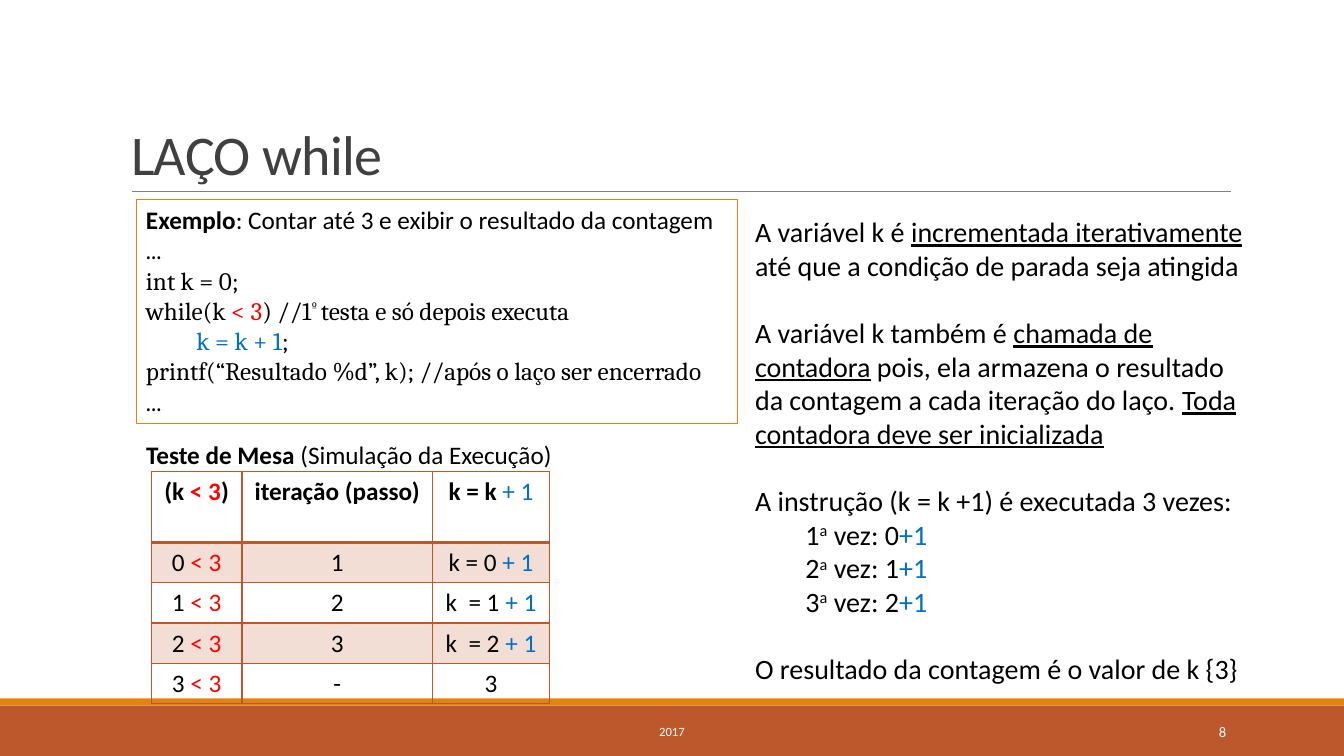
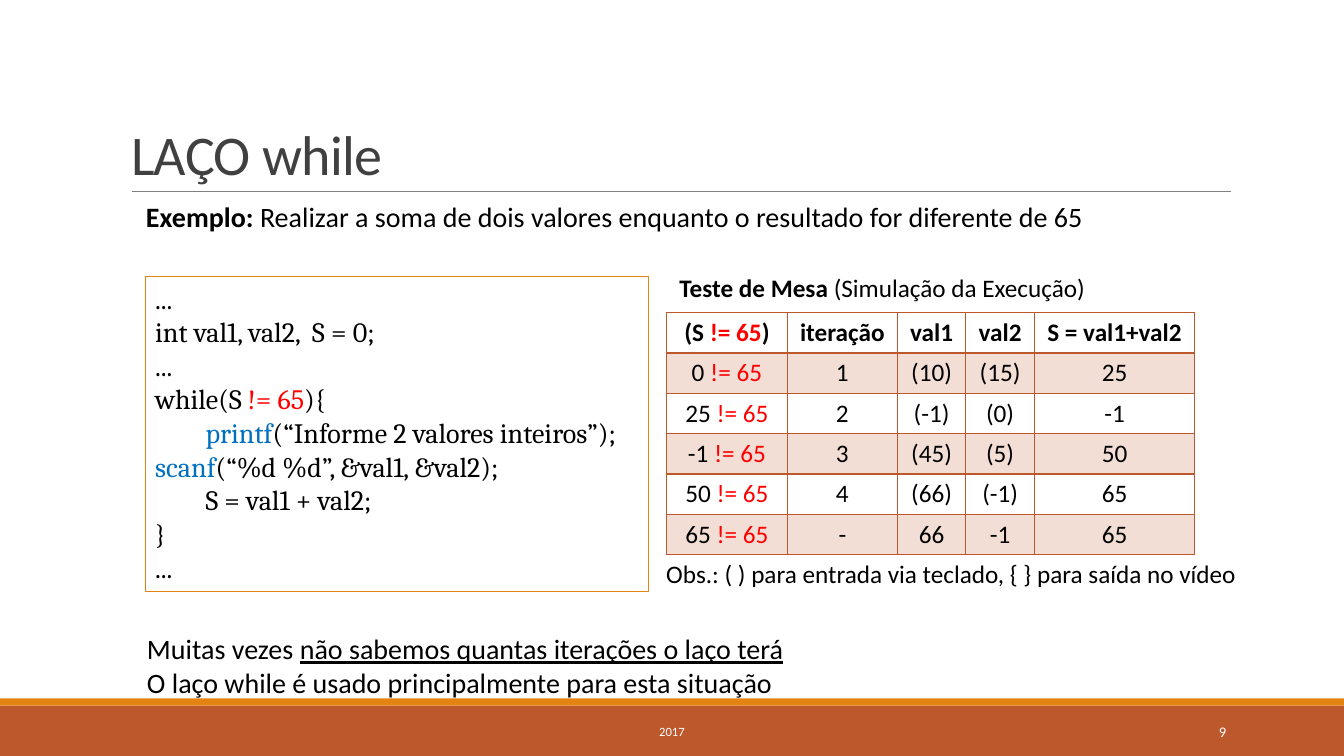
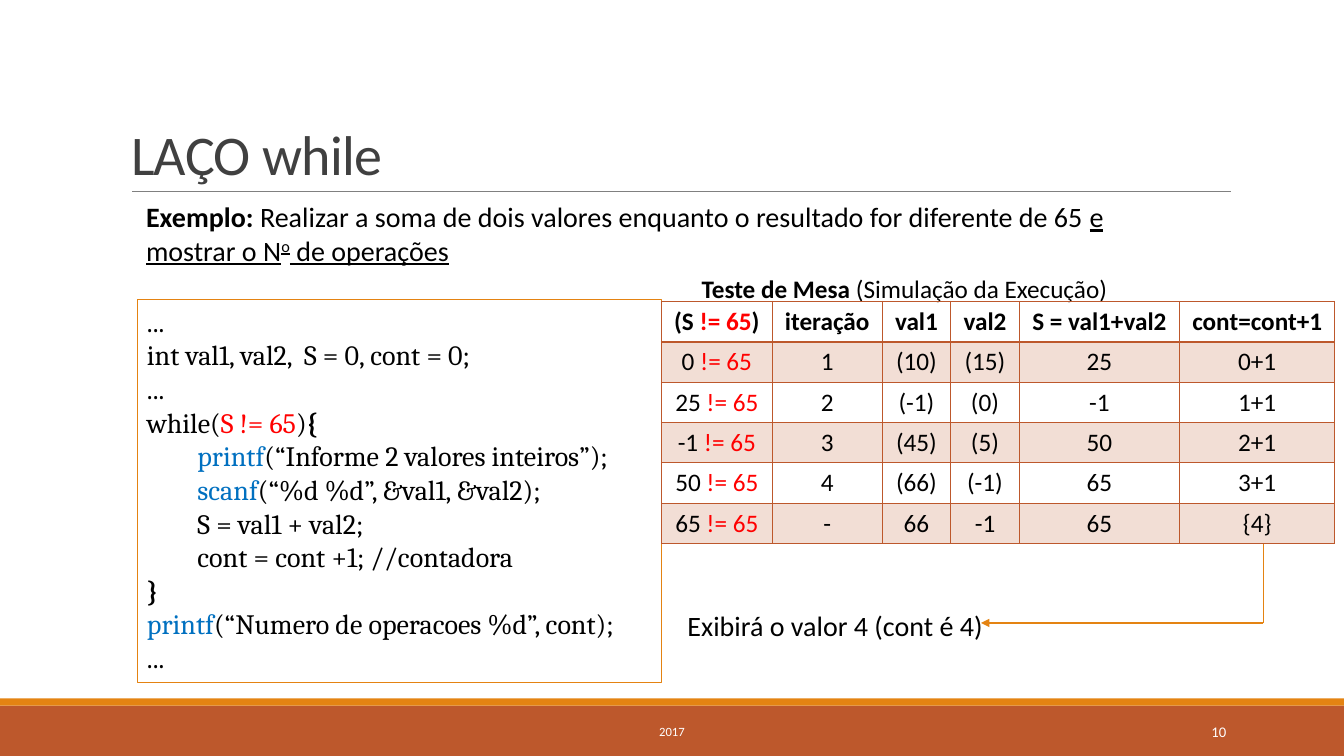
from lxml import etree
from pptx import Presentation
from pptx.dml.color import RGBColor
from pptx.enum.shapes import MSO_CONNECTOR, MSO_SHAPE
from pptx.enum.text import MSO_ANCHOR, MSO_AUTO_SIZE, PP_ALIGN
from pptx.oxml.ns import qn
from pptx.util import Pt

RECTANGLE = MSO_SHAPE.RECTANGLE
STRAIGHT = MSO_CONNECTOR.STRAIGHT
TOP, MIDDLE, BOTTOM = MSO_ANCHOR.TOP, MSO_ANCHOR.MIDDLE, MSO_ANCHOR.BOTTOM
LEFT, CENTER, RIGHT = PP_ALIGN.LEFT, PP_ALIGN.CENTER, PP_ALIGN.RIGHT
NO_AUTOFIT = MSO_AUTO_SIZE.NONE

EMU_PER_PX = 9144  # 100 px to the inch
PAGE_WIDTH, PAGE_HEIGHT = 1333, 750
TITLE_ONLY = 5
PLAIN_TABLE_STYLE = "{2D5ABB26-0587-4C30-8999-92F81FD0307C}"
SANS, SERIF = "Calibri", "Cambria"
ROW_HEIGHT = 40
INDENT = 50

COLORS = {
    "text": "000000",
    "title": "404040",
    "white": "FFFFFF",
    "rule": "808080",
    "orange": "E48312",
    "rust": "BD582C",
    "tint": "F2DED5",
    "red": "FF0000",
    "blue": "0070C0",
}


def px(length):
    return length * EMU_PER_PX


def rgb(name):
    return RGBColor.from_string(COLORS[name])


# Text: a paragraph is a list of spans, a span is a string or a (text, format) pair
def span(text, **style):
    return text, style


def red(text):
    return span(text, color="red")


def blue(text, **style):
    return span(text, color="blue", **style)


def bold(text, **style):
    return span(text, bold=True, **style)


def underlined(text, **style):
    return span(text, underline=True, **style)


def raised(text, **style):
    return span(text, raised=True, **style)


def para(*spans, indent=0, before=0):
    return {"spans": spans, "indent": indent, "before": before}


def indented(*spans):
    return para(*spans, indent=INDENT)


def add_run(paragraph, text, size=18, font=SANS, color="text", bold=False,
            underline=False, raised=False, tracking=0):
    run = paragraph.add_run()
    run.text = text
    run.font.size = Pt(size)
    run.font.name = font
    run.font.bold = bold
    run.font.underline = underline
    run.font.color.rgb = rgb(color)
    properties = run.font._element
    if raised:
        properties.set("baseline", "30000")
    if tracking:
        properties.set("spc", str(tracking))


def fill_text(frame, paragraphs, align=LEFT, line_spacing=None, **style):
    for index, item in enumerate(paragraphs):
        if isinstance(item, str):
            item = para(item)
        paragraph = frame.paragraphs[0] if index == 0 else frame.add_paragraph()
        paragraph.alignment = align
        if line_spacing:
            paragraph.line_spacing = line_spacing
        if item["before"]:
            paragraph.space_before = Pt(item["before"])
        if item["indent"]:
            properties = paragraph._p.get_or_add_pPr()
            properties.set("marL", "0")
            properties.set("indent", str(px(item["indent"])))
        for part in item["spans"]:
            text, own_style = (part, {}) if isinstance(part, str) else part
            add_run(paragraph, text, **{**style, **own_style})


# Page elements
def add_bar(page, left, top, width, height, fill=None, outline=None):
    bar = page.shapes.add_shape(RECTANGLE, px(left), px(top), px(width), px(height))
    bar.shadow.inherit = False
    if fill:
        bar.fill.solid()
        bar.fill.fore_color.rgb = rgb(fill)
    else:
        bar.fill.background()
    if outline:
        bar.line.color.rgb = rgb(outline)
        bar.line.width = Pt(0.75)
    else:
        bar.line.fill.background()
    return bar


def add_text(page, left, top, width, height, paragraphs, outline=None,
             anchor=TOP, **style):
    if outline:
        box = add_bar(page, left, top, width, height, outline=outline)
    else:
        box = page.shapes.add_textbox(px(left), px(top), px(width), px(height))
    frame = box.text_frame
    frame.word_wrap = True
    frame.vertical_anchor = anchor
    fill_text(frame, paragraphs, **style)


def add_line(page, start, end, color, width, arrow=False):
    line = page.shapes.add_connector(STRAIGHT, *map(px, start + end))
    line.line.color.rgb = rgb(color)
    line.line.width = Pt(width)
    if arrow:
        etree.SubElement(line.line._get_or_add_ln(), qn("a:tailEnd"), type="triangle")
    etree.SubElement(line._element.spPr, qn("a:effectLst"))


def set_borders(cell, top=1, bottom=1):
    properties = cell._tc.get_or_add_tcPr()
    for side, width in (("L", 1), ("R", 1), ("T", top), ("B", bottom)):
        border = etree.SubElement(properties, qn(f"a:ln{side}"), w=str(Pt(width)))
        fill = etree.SubElement(border, qn("a:solidFill"))
        etree.SubElement(fill, qn("a:srgbClr"), val=COLORS["rust"])


def add_trace_table(page, left, top, widths, rows, header_height=ROW_HEIGHT):
    heights = [header_height] + [ROW_HEIGHT] * (len(rows) - 1)
    graphic = page.shapes.add_table(len(rows), len(widths), px(left), px(top),
                                    px(sum(widths)), px(sum(heights)))
    table = graphic.table
    table.horz_banding = False
    table._tbl.tblPr.find(qn("a:tableStyleId")).text = PLAIN_TABLE_STYLE
    for column, width in zip(table.columns, widths):
        column.width = px(width)
    for index, (row, height) in enumerate(zip(rows, heights)):
        table.rows[index].height = px(height)
        for cell, content in zip(table.rows[index].cells, row):
            set_borders(cell, top=2 if index == 1 else 1, bottom=2 if index == 0 else 1)
            if index % 2:
                cell.fill.solid()
                cell.fill.fore_color.rgb = rgb("tint")
            else:
                cell.fill.background()
            fill_text(cell.text_frame, [content], align=CENTER, bold=index == 0)


def add_page(deck, number):
    page = deck.slides.add_slide(deck.slide_layouts[TITLE_ONLY])
    # Bands and rule
    add_bar(page, 0, 700, PAGE_WIDTH, 50, fill="rust")
    add_bar(page, 0, 693, PAGE_WIDTH, 7, fill="orange")
    add_line(page, (131, 190), (1221, 190), "rule", 0.5)
    # Title
    title = page.shapes.title
    title.left, title.top, title.width, title.height = map(px, (120, 31, 1100, 159))
    frame = title.text_frame
    frame.word_wrap = True
    frame.auto_size = NO_AUTOFIT
    frame.vertical_anchor = BOTTOM
    fill_text(frame, ["LAÇO while"], line_spacing=0.85, size=40, color="title",
              tracking=-50)
    # Footer
    add_text(page, 403, 706, 527, 40, ["2017"], anchor=MIDDLE, align=CENTER,
             size=9, color="white")
    add_text(page, 1083, 706, 143, 40, [str(number)], anchor=MIDDLE, align=RIGHT,
             size=10.5, color="white")
    return page


def add_trace_heading(page, left, top):
    add_text(page, left, top, 439, 40,
             [para(bold("Teste de Mesa"), " (Simulação da Execução)")])


def add_code(page, left, top, width, height, lines, size=20):
    add_text(page, left, top, width, height, lines, outline="orange",
             font=SERIF, size=size)


# Content that two pages share
SUM_HEADER = [para("(S ", red("!= 65"), ")"), "iteração", "val1", "val2", "S = val1+val2"]
SUM_STEPS = [
    ("0", "1", "(10)", "(15)", "25"),
    ("25", "2", "(-1)", "(0)", "-1"),
    ("-1", "3", "(45)", "(5)", "50"),
    ("50", "4", "(66)", "(-1)", "65"),
    ("65", "-", "66", "-1", "65"),
]
SUM_ROWS = [SUM_HEADER] + [[para(f"{total} ", red("!= 65")), *rest]
                           for total, *rest in SUM_STEPS]
SUM_TASK = "Realizar a soma de dois valores enquanto o resultado for diferente de 65"
PROMPT_LINE = indented(blue("printf"), "(“Informe 2 valores inteiros”);")
READ_SPANS = (blue("scanf"), "(“%d %d”, &val1, &val2);")
ADD_LINE = indented("S = val1 + val2;")


def build_counting_page(deck):
    page = add_page(deck, 8)
    add_code(page, 135, 198, 597, 222, [
        para(bold("Exemplo", font=SANS),
             span(": Contar até 3 e exibir o resultado da contagem", font=SANS)),
        "...",
        "int k = 0;",
        para("while(k", red(" < 3"), ") //1", raised("º "), "testa e só depois executa"),
        indented(blue("k = k + 1"), ";"),
        "printf(“Resultado %d”, k); //após o laço ser encerrado",
        "...",
    ], size=18)

    # Explanation
    gap = 24
    times = [indented(f"{step}", raised("a"), f" vez: {step - 1}", blue("+1"))
             for step in (1, 2, 3)]
    add_text(page, 739, 208, 508, 481, [
        para("A variável k é ", underlined("incrementada iterativamente"),
             " até que a condição de parada seja atingida"),
        para("A variável k também é ", underlined("chamada de"), " ",
             underlined("contadora"),
             " pois, ela armazena o resultado da contagem a cada iteração do laço. ",
             underlined("Toda contadora deve ser inicializada"), before=gap),
        para("A instrução (k = k +1) é executada 3 vezes:", before=gap),
        *times,
        para("O resultado da contagem é o valor de k {3}", before=gap),
    ], size=20)

    # Trace
    add_trace_heading(page, 135, 431)
    steps = [("0", "1", "k = 0 "), ("1", "2", "k  = 1 "), ("2", "3", "k  = 2 ")]
    rows = [[para("(k ", red("< 3"), ")"), "iteração (passo)",
             para("k = k ", blue("+ 1", bold=False))]]
    rows += [[para(f"{value} ", red("< 3")), step, para(update, blue("+ 1"))]
             for value, step, update in steps]
    rows.append([para("3 ", red("< 3")), "-", "3"])
    add_trace_table(page, 150, 468, [90, 189, 116], rows, header_height=70)


def build_sum_page(deck):
    page = add_page(deck, 9)
    add_code(page, 144, 274, 499, 313, [
        "...",
        "int val1, val2,  S = 0;",
        "...",
        para("while(S", red(" != 65"), "){"),
        PROMPT_LINE,
        para(*READ_SPANS),
        ADD_LINE,
        "}",
        "...",
    ])
    add_trace_heading(page, 664, 265)
    add_trace_table(page, 661, 310, [120, 109, 68, 68, 159], SUM_ROWS)
    add_text(page, 136, 622, 1163, 77, [
        para("Muitas vezes ", underlined("não sabemos quantas iterações o laço terá")),
        "O laço while é usado principalmente para esta situação",
    ], size=20)
    add_text(page, 135, 193, 987, 44, [para(bold("Exemplo: "), SUM_TASK)], size=20)
    add_text(page, 651, 549, 593, 71,
             ["Obs.: ( ) para entrada via teclado, { } para saída no vídeo"])


def build_counted_sum_page(deck):
    page = add_page(deck, 10)
    add_code(page, 136, 297, 520, 380, [
        "...",
        "int val1, val2,  S = 0, cont = 0;",
        "...",
        para("while(", red("S != 65"), ")", bold("{")),
        PROMPT_LINE,
        indented(*READ_SPANS),
        ADD_LINE,
        indented("cont = cont +1; //contadora"),
        para(bold("}")),
        para(blue("printf"), "(“Numero de operacoes %d”, cont);"),
        "...",
    ])
    add_trace_heading(page, 686, 266)
    add_text(page, 135, 193, 971, 111, [
        para(bold("Exemplo: "), SUM_TASK + " ", underlined("e mostrar o N"),
             raised("o", underline=True), underlined(" de operações")),
    ], size=20)

    # Result of the counter
    add_text(page, 672, 599, 407, 44, ["Exibirá o valor 4 (cont é 4)"], size=20)
    corner = (1253, 618)
    add_line(page, corner, (973, 618), "orange", 1, arrow=True)
    add_line(page, corner, (1253, 539), "orange", 1)

    counter = ["cont=cont+1", "0+1", "1+1", "2+1", "3+1", "{4}"]
    rows = [[*row, count] for row, count in zip(SUM_ROWS, counter)]
    add_trace_table(page, 656, 299, [110, 109, 68, 68, 159, 154], rows)


def main():
    deck = Presentation()
    deck.slide_width, deck.slide_height = px(PAGE_WIDTH), px(PAGE_HEIGHT)
    build_counting_page(deck)
    build_sum_page(deck)
    build_counted_sum_page(deck)
    deck.save("out.pptx")


if __name__ == "__main__":
    main()
